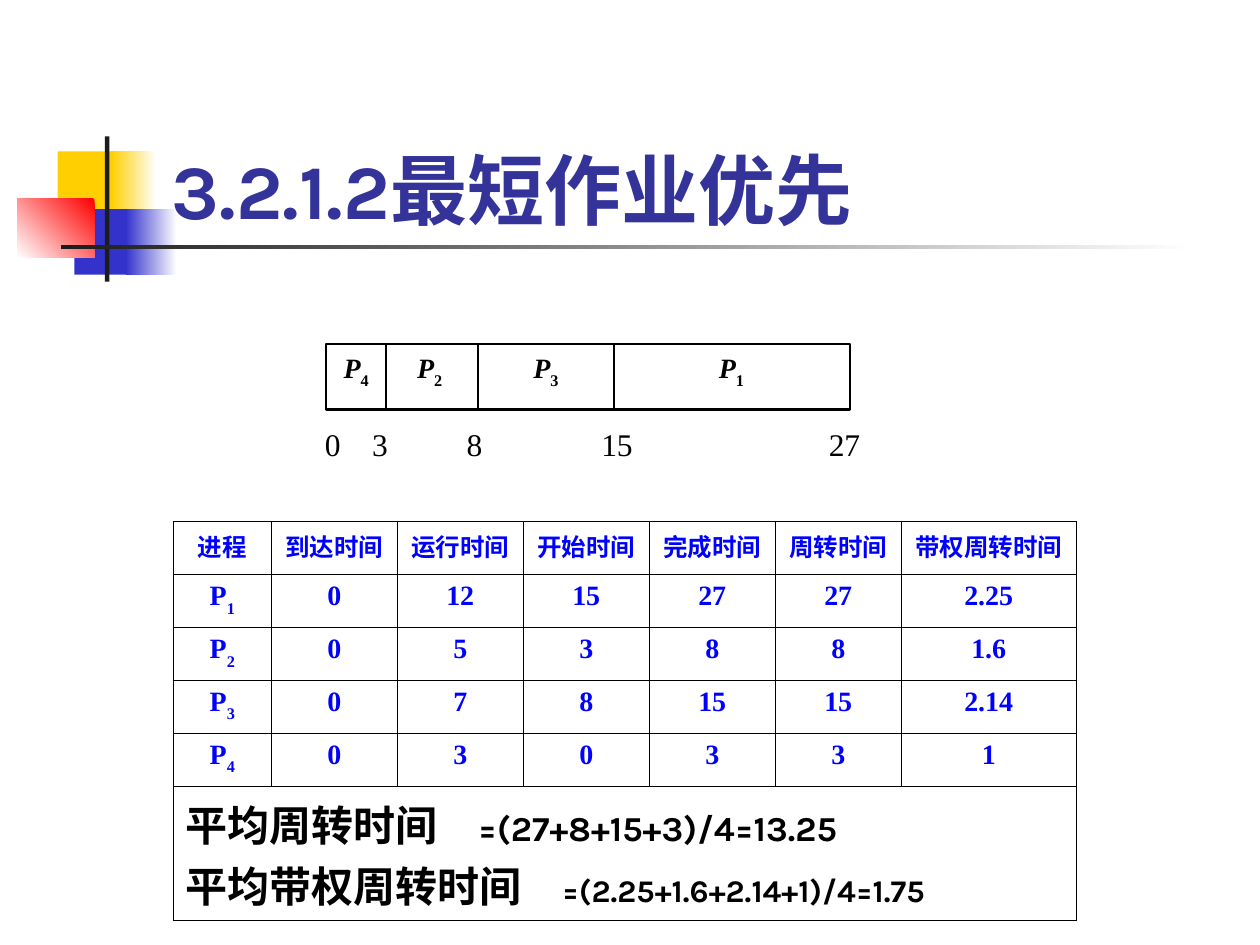
import pptx
import pptx.util
import pptx.dml.color
import pptx.enum.shapes
import pptx.enum.text
import pptx.oxml
import pptx.oxml.ns

Pt = pptx.util.Pt
ALIGN = pptx.enum.text.PP_ALIGN
TOP = pptx.enum.text.MSO_ANCHOR.TOP
SERIF, SANS = "Times New Roman", "Karla"
NS = pptx.oxml.ns.nsdecls("a")

HEAD = ["进程", "到达时间", "运行时间", "开始时间", "完成时间", "周转时间", "带权周转时间"]
ROWS = [
    ["P_1", "0", "12", "15", "27", "27", "2.25"],
    ["P_2", "0", "5", "3", "8", "8", "1.6"],
    ["P_3", "0", "7", "8", "15", "15", "2.14"],
    ["P_4", "0", "3", "0", "3", "3", "1"],
]
# Label, formula, formula size, formula tab stop
MEANS = [
    ("平均周转时间", "=(27+8+15+3)/4=13.25", 20, 167),
    ("平均带权周转时间", "=(2.25+1.6+2.14+1)/4=1.75", 18, 215),
]
# Job, left edge, width
JOBS = [("P_1", 350, 136), ("P_2", 218, 55), ("P_3", 273, 78), ("P_4", 186.5, 34)]


def color(code):
    return pptx.dml.color.RGBColor.from_string(code)


def write(par, text, size=16, font=SERIF, ink="000000", bold=True, slant=False):
    """Add text to a paragraph; what follows an underscore is a subscript."""
    for i, part in enumerate(text.split("_")):
        run = par.add_run()
        run.text = part
        run.font.size = Pt(size)
        run.font.name = font
        run.font.bold = bold
        run.font.italic = slant and i == 0
        run.font.color.rgb = color(ink)
        if i:
            run._r.get_or_add_rPr().set("baseline", "-30000")


def tabs(par, stops):
    marks = "".join(f'<a:tab pos="{Pt(s)}" algn="l"/>' for s in stops)
    par._p.get_or_add_pPr().append(
        pptx.oxml.parse_xml(f"<a:tabLst {NS}>{marks}</a:tabLst>"))


def box(slide, left, top, width, height, fill="FFFFFF", line=None, weight=1.25):
    shape = slide.shapes.add_shape(
        pptx.enum.shapes.MSO_SHAPE.RECTANGLE,
        Pt(left), Pt(top), Pt(width), Pt(height))
    shape.shadow.inherit = False
    shape.fill.solid()
    shape.fill.fore_color.rgb = color(fill)
    if line:
        shape.line.color.rgb = color(line)
        shape.line.width = Pt(weight)
    else:
        shape.line.fill.background()
    shape.text_frame.vertical_anchor = TOP
    return shape


def fade(slide, left, top, width, height, first, last, angle=180):
    shape = box(slide, left, top, width, height)
    shape.fill.gradient()
    shape.fill.gradient_angle = angle
    for stop, code in zip(shape.fill.gradient_stops, (first, last)):
        stop.color.rgb = color(code)


def motif(slide):
    box(slide, 33, 86.5, 34.5, 37.5, "FFCF01")
    fade(slide, 63.5, 86.5, 26, 37.5, "FFFFFF", "FFCF01")
    box(slide, 42.5, 119.5, 33, 37.5, "3333CC")
    fade(slide, 72, 119.5, 29, 37.5, "FFFFFF", "3333CC")
    fade(slide, 10, 113.5, 44, 33.5, "FF0000", "FFFFFF", 225)
    box(slide, 60, 78, 2.5, 83, "1C1C1C")
    fade(slide, 35, 140, 648, 2.5, "FFFFFF", "1C1C1C")


def title(slide, text):
    shape = slide.shapes.title
    shape.left, shape.top, shape.width, shape.height = Pt(91), Pt(48), Pt(613), Pt(90)
    frame = shape.text_frame
    frame.auto_size = pptx.enum.text.MSO_AUTO_SIZE.NONE
    frame.vertical_anchor = pptx.enum.text.MSO_ANCHOR.BOTTOM
    par = frame.paragraphs[0]
    par.alignment = ALIGN.LEFT
    write(par, text, size=44, font=SANS, ink="333399")


def gantt(slide):
    # Time marks under the bar
    axis = box(slide, 178.5, 242, 323, 26, line="FFFFFF", weight=0.75)
    frame = axis.text_frame
    frame.margin_top = frame.margin_bottom = Pt(0.75)
    par = frame.paragraphs[0]
    par.alignment = ALIGN.LEFT
    tabs(par, (27, 81, 158, 288))
    write(par, "0\t3\t8\t15\t27", size=18, bold=False)
    # One box for each job
    for job, left, width in JOBS:
        shape = box(slide, left, 196.5, width, 37.5, line="000000")
        par = shape.text_frame.paragraphs[0]
        par.alignment = ALIGN.CENTER
        write(par, job, slant=True)


def edges(cell, top, bottom):
    props = cell._tc.get_or_add_tcPr()
    sides = (("L", 0.45), ("R", 0.45), ("T", top), ("B", bottom))
    for i, (side, weight) in enumerate(sides):
        props.insert(i, pptx.oxml.parse_xml(
            f'<a:ln{side} {NS} w="{Pt(weight)}"><a:solidFill>'
            f'<a:srgbClr val="000000"/></a:solidFill></a:ln{side}>'))


def grid(slide):
    widths = [56] + [72] * 5 + [100]
    heights = [30.25] * 5 + [65]
    table = slide.shapes.add_table(
        len(heights), len(widths), Pt(99), Pt(298),
        Pt(sum(widths)), Pt(sum(heights))).table
    for col, width in zip(table.columns, widths):
        col.width = Pt(width)
    for row, height in zip(table.rows, heights):
        row.height = Pt(height)

    # Borders: heavy around the header and at the foot
    last = len(heights) - 1
    for r, row in enumerate(table.rows):
        for cell in row.cells:
            cell.fill.background()
            edges(cell, 0.96 if r < 2 else 0.45, 0.96 if r in (0, last) else 0.45)

    # Header and process rows
    for r, texts in enumerate([HEAD] + ROWS):
        for c, text in enumerate(texts):
            par = table.cell(r, c).text_frame.paragraphs[0]
            par.alignment = ALIGN.CENTER
            write(par, text, size=16 if r else 14, ink="0000FF")

    # Averages across the whole last row
    foot = table.cell(last, 0)
    foot.merge(table.cell(last, len(widths) - 1))
    frame = foot.text_frame
    for i, (label, sum_text, size, stop) in enumerate(MEANS):
        par = frame.add_paragraph() if i else frame.paragraphs[0]
        tabs(par, [stop])
        write(par, label + "\t", size=24, font=SANS)
        write(par, sum_text, size=size, font=SANS)


def main():
    deck = pptx.Presentation()
    deck.slide_width, deck.slide_height = Pt(720), Pt(540)
    slide = deck.slides.add_slide(deck.slide_layouts[5])
    motif(slide)
    title(slide, "3.2.1.2最短作业优先")
    # Bring the title in front of the motif
    tree = slide.shapes._spTree
    tree.append(slide.shapes.title._element)
    gantt(slide)
    grid(slide)
    deck.save("out.pptx")


if __name__ == "__main__":
    main()
